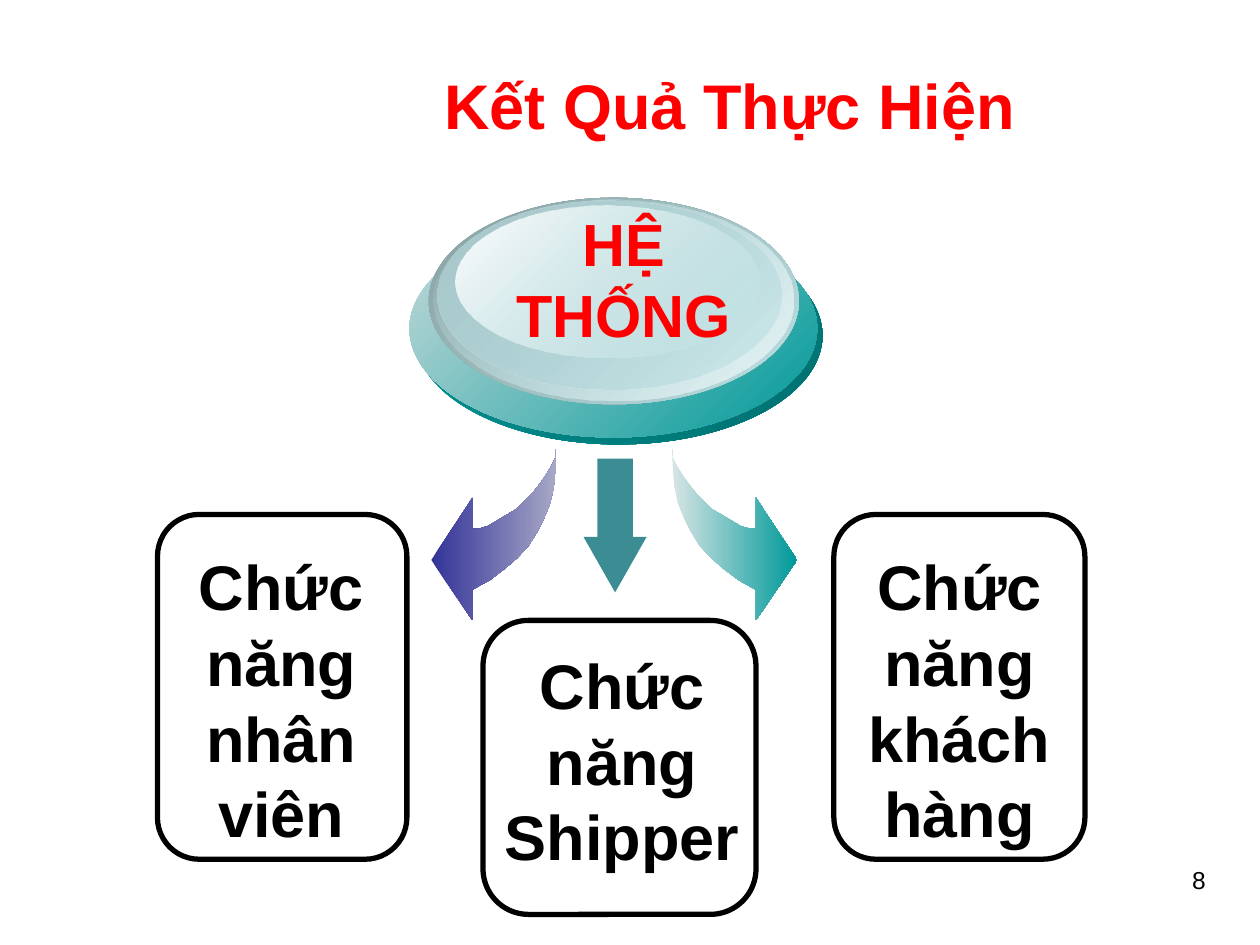
from dataclasses import dataclass
from typing import Any

from lxml import etree
from pptx import Presentation
from pptx.dml.color import RGBColor
from pptx.enum.shapes import MSO_SHAPE
from pptx.enum.text import MSO_ANCHOR, PP_ALIGN
from pptx.oxml.ns import qn
from pptx.util import Pt

OVAL = MSO_SHAPE.OVAL
ROUNDED = MSO_SHAPE.ROUNDED_RECTANGLE
DOWN_ARROW = MSO_SHAPE.DOWN_ARROW
TOP, MIDDLE = MSO_ANCHOR.TOP, MSO_ANCHOR.MIDDLE
CENTER, RIGHT = PP_ALIGN.CENTER, PP_ALIGN.RIGHT

COLORS = {
    "red": "FF0000", "black": "000000", "white": "FFFFFF",
    "indigo": "333399", "lavender": "A8A8C6",
    "teal": "009999", "deep_teal": "007070", "mist": "D8E5E5",
    "rim": "C6DADA", "slate": "86A0A2", "ice": "BBE0E3",
    "frost": "EAF5F6", "haze": "A9CACD", "arrow": "3C8C93",
}

CURVE = [
    (0, 0), (0.5, 11), (1.5, 21.5), (3.5, 31), (7, 39.5), (11, 47.5),
    (16, 55.5), (22.5, 62.5), (29.5, 68.5), (38, 75), (48, 80.5),
    (48, 98), (71.5, 63.5), (48, 28), (48, 45.5), (44, 45.5), (39, 44),
    (34, 41), (29, 38), (23, 34.5), (18.5, 30), (13.5, 25), (9.5, 20),
    (6, 15), (3, 10), (0.5, 5), (0.5, 0),
]


@dataclass
class Painter:
    """Draws styled elements on the current slide."""
    slide: Any
    font: str = "Arial"

    def text(self, words, bounds, size, color="black", bold=True,
             align=CENTER, anchor=TOP):
        box = self.slide.shapes.add_textbox(*map(Pt, bounds))
        frame = box.text_frame
        frame.word_wrap = True
        frame.vertical_anchor = anchor
        para = frame.paragraphs[0]
        para.text = words
        para.alignment = align
        para.font.name = self.font
        para.font.size = Pt(size)
        para.font.bold = bold
        para.font.color.rgb = RGBColor.from_string(COLORS[color])

    def card(self, words, bounds, text_bounds):
        card = self.slide.shapes.add_shape(ROUNDED, *map(Pt, bounds))
        card.shadow.inherit = False
        card.adjustments[0] = 0.167
        card.fill.background()
        card.line.color.rgb = RGBColor.from_string(COLORS["black"])
        card.line.width = Pt(3)
        self.text(words, text_bounds, 36)

    def gradient(self, shape, stops, angle):
        shape.shadow.inherit = False
        shape.line.fill.background()
        shape.fill.gradient()
        shape.fill.gradient_angle = angle
        for stop, (color, _) in zip(shape.fill.gradient_stops, stops):
            stop.color.rgb = RGBColor.from_string(COLORS[color])
        tints = shape.element.spPr.iter(qn("a:srgbClr"))
        for tint, (_, opacity) in zip(tints, stops):
            if opacity < 100:
                etree.SubElement(tint, qn("a:alpha"), val=str(opacity * 1000))

    def disc(self, layers):
        group = self.slide.shapes.add_group_shape()
        for bounds, stops in layers:
            oval = group.shapes.add_shape(OVAL, *map(Pt, bounds))
            self.gradient(oval, stops, 315)

    def curved_arrow(self, x, y, direction, colors):
        points = [(Pt(x + direction * dx), Pt(y + dy)) for dx, dy in CURVE]
        builder = self.slide.shapes.build_freeform(*points[0])
        builder.add_line_segments(points[1:], close=True)
        arrow = builder.convert_to_shape()
        self.gradient(arrow, [(color, 100) for color in colors], 0)

    def down_arrow(self, bounds):
        arrow = self.slide.shapes.add_shape(DOWN_ARROW, *map(Pt, bounds))
        arrow.shadow.inherit = False
        arrow.adjustments[0] = 0.563
        arrow.adjustments[1] = 0.879
        arrow.fill.solid()
        arrow.fill.fore_color.rgb = RGBColor.from_string(COLORS["arrow"])
        arrow.line.fill.background()


def main():
    deck = Presentation()
    deck.slide_width, deck.slide_height = Pt(720), Pt(540)
    page = Painter(deck.slides.add_slide(deck.slide_layouts[6]))

    page.text("Kết Quả Thực Hiện", (138, 22.5, 558, 74), 36, "red",
              anchor=MIDDLE)
    page.curved_arrow(318, 256.5, -1, ("indigo", "lavender"))
    page.curved_arrow(384, 256.5, 1, ("mist", "teal"))
    page.disc([
        ((237, 129.5, 233, 124.5), (("teal", 100), ("deep_teal", 100))),
        ((234, 125.5, 233, 124.5), (("rim", 100), ("teal", 100))),
        ((245, 113, 211.5, 118), (("slate", 100), ("ice", 100))),
        ((247.5, 114, 206, 115), (("ice", 0), ("frost", 100))),
        ((250, 114.5, 196.5, 108), (("haze", 100), ("ice", 48))),
        ((260.5, 117.5, 173, 87), (("white", 100), ("ice", 38))),
    ])
    page.text("HỆ THỐNG", (260.5, 114.5, 191.5, 89.5), 34, "red")
    page.down_arrow((333.5, 262, 36, 76.5))
    page.card("Chức năng nhân viên", (90, 294, 142.5, 197),
              (97, 309.5, 127.5, 181.5))
    page.card("Chức năng Shipper", (276, 354.5, 156, 168),
              (278.5, 366, 154, 138))
    page.card("Chức năng khách hàng", (476.5, 294, 143.5, 197),
              (484.5, 309.5, 127.5, 181.5))
    page.text("8", (528, 490.5, 168, 44), 14, bold=False, align=RIGHT)
    deck.save("out.pptx")


if __name__ == "__main__":
    main()
